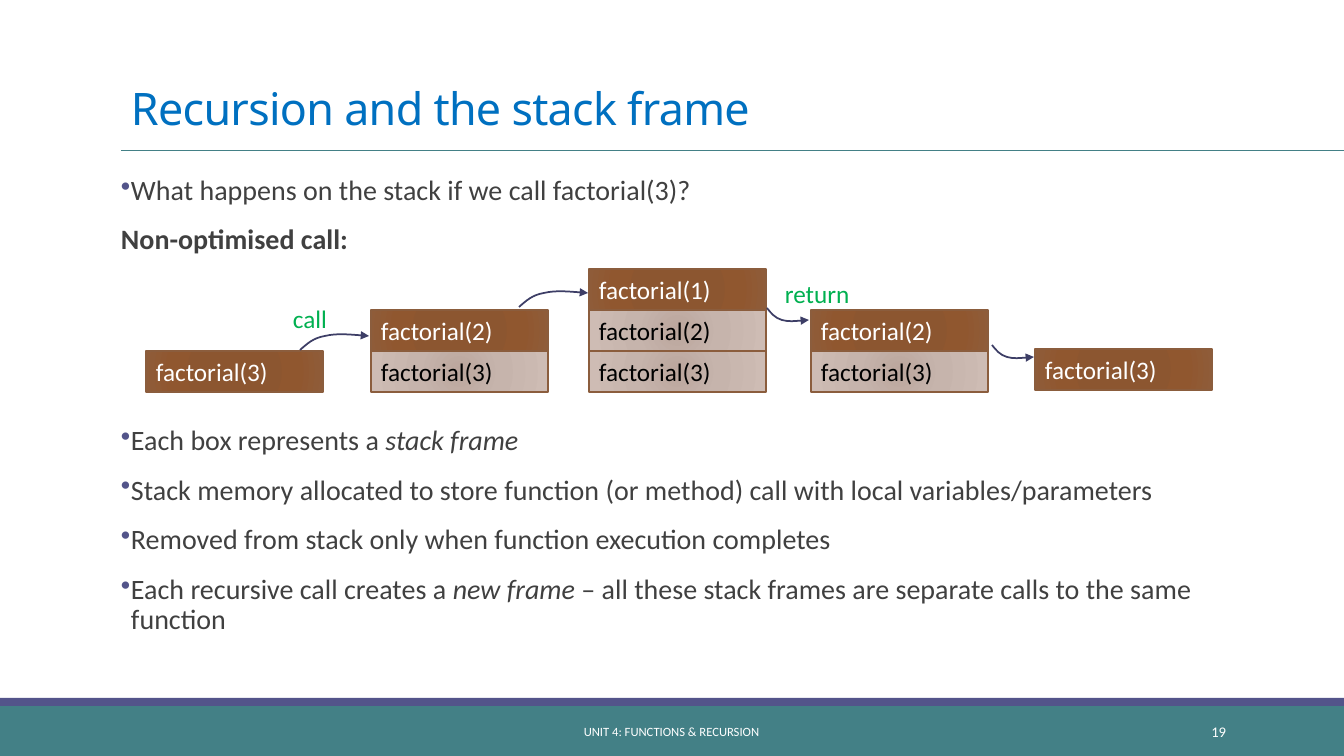
from lxml import etree
from pptx import Presentation
from pptx.dml.color import RGBColor
from pptx.enum.shapes import MSO_CONNECTOR, MSO_SHAPE
from pptx.enum.text import MSO_ANCHOR, MSO_AUTO_SIZE, PP_ALIGN
from pptx.oxml import parse_xml
from pptx.oxml.ns import nsdecls, qn
from pptx.util import Pt

PX = 914400 / 100.8
RECTANGLE = MSO_SHAPE.RECTANGLE
STRAIGHT = MSO_CONNECTOR.STRAIGHT
TOP, MIDDLE, BOTTOM = MSO_ANCHOR.TOP, MSO_ANCHOR.MIDDLE, MSO_ANCHOR.BOTTOM
LEFT, CENTER, RIGHT = PP_ALIGN.LEFT, PP_ALIGN.CENTER, PP_ALIGN.RIGHT
FIT_SHAPE = MSO_AUTO_SIZE.SHAPE_TO_FIT_TEXT

TEAL, INDIGO, WHITE, GREEN = "438086", "53548A", "FFFFFF", "00B050"
ACTIVE = ((0, "8C552E"), (34, "8C5630"), (70, "90572F"), (100, "8F5C39"))
WAITING = ((0, "BBA69D"), (45, "C6B4AC"), (100, "CEBCB4"))

FRAME_WIDTH, FRAME_HEIGHT = 177, 41
STACKS = [(146, 392, (3,)), (371, 392, (3, 2)), (589, 392, (3, 2, 1)),
          (811, 392, (3, 2)), (1035, 390, (3,))]
CALL_CURVE = [(7, -6), (13, -12), (25, -14), (37, -17), (69, -14), (69, -14)]
RETURN_CURVE = [(4, 5), (8, 10), (15, 12), (22, 14), (42, 12), (42, 12)]
ARROWS = [(300, 350, CALL_CURVE), (519, 307, CALL_CURVE),
          (767, 308, RETURN_CURVE), (992, 345, RETURN_CURVE)]

QUESTION = [
    (True, [("What happens on the stack if we call factorial(3)?", "")]),
    (False, [("Non-optimised call:", "bold")]),
]
EXPLANATION = [
    (True, [("Each box represents a ", ""), ("stack frame", "italic")]),
    (True, [("Stack memory allocated to store function (or method) call "
             "with local variables/parameters", "")]),
    (True, [("Removed from stack only when function execution completes", "")]),
    (True, [("Each recursive call creates a ", ""), ("new frame ", "italic"),
            ("– all these stack frames are separate calls to the same function", "")]),
]


def px(length):
    return round(length * PX)


def box_emu(box):
    return [px(length) for length in box]


def color(value):
    return RGBColor.from_string(value)


def add_run(paragraph, text, size, ink, font="Calibri", style=""):
    run = paragraph.add_run()
    run.text = text
    run.font.name = font
    run.font.size = Pt(size)
    run.font.color.rgb = color(ink)
    run.font.bold = style == "bold"
    run.font.italic = style == "italic"
    return run


def add_text_box(slide, box, anchor=TOP):
    frame = slide.shapes.add_textbox(*box_emu(box)).text_frame
    frame.word_wrap = True
    frame.vertical_anchor = anchor
    return frame


def add_label(slide, box, text, size, ink, align=LEFT, anchor=TOP):
    paragraph = add_text_box(slide, box, anchor).paragraphs[0]
    paragraph.alignment = align
    add_run(paragraph, text, size, ink)


def add_rectangle(slide, box):
    shape = slide.shapes.add_shape(RECTANGLE, *box_emu(box))
    shape.shadow.inherit = False
    return shape


def add_footer(slide, box):
    left, top, width, height = box
    bands = ((TEAL, (left, top + 8, width, height - 8)), (INDIGO, (left, top, width, 8)))
    for fill, band in bands:
        shape = add_rectangle(slide, band)
        shape.fill.solid()
        shape.fill.fore_color.rgb = color(fill)
        shape.line.fill.background()
    add_label(slide, (left + 406, top + 14, 531, 40),
              "UNIT 4: FUNCTIONS & RECURSION", 9, WHITE, CENTER, MIDDLE)
    add_label(slide, (left + 1092, top + 14, 144, 40), "19", 10.5, WHITE, RIGHT, MIDDLE)


def add_title(slide, box):
    left, top, width, height = box
    rule_y = px(top + height + 10)
    rule = slide.shapes.add_connector(STRAIGHT, px(left), rule_y, px(1344), rule_y)
    rule.line.color.rgb = color(TEAL)
    rule.line.width = Pt(0.5)
    etree.SubElement(rule._element.spPr, qn("a:effectLst"))
    paragraph = add_text_box(slide, box, BOTTOM).paragraphs[0]
    paragraph.line_spacing = 0.85
    run = add_run(paragraph, "Recursion and the stack frame", 32, "0070C0", "Noto Sans")
    run.font._element.set("spc", "-50")


def add_bullet(paragraph):
    properties = paragraph._p.get_or_add_pPr()
    properties.set("marL", str(px(10)))
    properties.set("indent", str(-px(10)))
    bullet_color = etree.SubElement(properties, qn("a:buClr"))
    etree.SubElement(bullet_color, qn("a:srgbClr"), val=INDIGO)
    etree.SubElement(properties, qn("a:buChar"), char="•")


def add_body(slide, box, paragraphs):
    frame = add_text_box(slide, box)
    frame.margin_left = frame.margin_right = 0
    for index, (bulleted, runs) in enumerate(paragraphs):
        paragraph = frame.add_paragraph() if index else frame.paragraphs[0]
        paragraph.line_spacing = 0.9
        paragraph.space_before = Pt(12)
        paragraph.space_after = Pt(2)
        if bulleted:
            add_bullet(paragraph)
        for text, style in runs:
            add_run(paragraph, text, 20, "404040", style=style)


def fill_radial(shape, stops):
    stop_xml = "".join(f'<a:gs pos="{position * 1000}"><a:srgbClr val="{value}"/></a:gs>'
                       for position, value in stops)
    gradient = parse_xml(
        f'<a:gradFill {nsdecls("a")} rotWithShape="1"><a:gsLst>{stop_xml}</a:gsLst>'
        '<a:path path="circle"><a:fillToRect l="100000" t="100000" r="100000" b="100000"/>'
        '</a:path></a:gradFill>')
    shape._element.spPr.find(qn("a:prstGeom")).addnext(gradient)


def add_stack(slide, left, bottom, calls):
    for level, argument in enumerate(calls, 1):
        active = level == len(calls)
        shape = add_rectangle(
            slide, (left, bottom - level * FRAME_HEIGHT, FRAME_WIDTH, FRAME_HEIGHT))
        fill_radial(shape, ACTIVE if active else WAITING)
        shape.line.color.rgb = color("8B5D3D")
        shape.line.width = Pt(1)
        frame = shape.text_frame
        frame.word_wrap = True
        frame.auto_size = FIT_SHAPE
        frame.vertical_anchor = TOP
        frame.paragraphs[0].alignment = LEFT
        add_run(frame.paragraphs[0], f"factorial({argument})", 18,
                WHITE if active else "000000")


def add_curved_arrow(slide, left, top, offsets):
    builder = slide.shapes.build_freeform(left, top, scale=PX)
    builder.add_line_segments([(left + x, top + y) for x, y in offsets], close=False)
    shape = builder.convert_to_shape()
    shape.shadow.inherit = False
    shape.fill.background()
    shape.line.color.rgb = color("3D3E66")
    shape.line.width = Pt(1.25)
    etree.SubElement(shape.line._get_or_add_ln(), qn("a:tailEnd"), type="triangle")
    segments = list(shape._element.iter(qn("a:lnTo")))
    outline = segments[0].getparent()
    for start in range(0, len(segments), 3):
        curve = etree.SubElement(outline, qn("a:cubicBezTo"))
        for segment in segments[start:start + 3]:
            curve.append(segment[0])
            outline.remove(segment)


def add_call_diagram(slide):
    for stack in STACKS:
        add_stack(slide, *stack)
    for arrow in ARROWS:
        add_curved_arrow(slide, *arrow)
    add_label(slide, (283, 298, 66, 41), "call", 18, GREEN)
    add_label(slide, (775, 273, 101, 41), "return", 18, GREEN)


def main():
    presentation = Presentation()
    presentation.slide_width, presentation.slide_height = px(1344), px(756)
    slide = presentation.slides.add_slide(presentation.slide_layouts[6])
    add_footer(slide, (0, 698, 1344, 58))
    add_title(slide, (121, 31, 1109, 109))
    add_body(slide, (121, 171, 1109, 100), QUESTION)
    add_body(slide, (121, 421, 1109, 253), EXPLANATION)
    add_call_diagram(slide)
    presentation.save("out.pptx")


if __name__ == "__main__":
    main()
